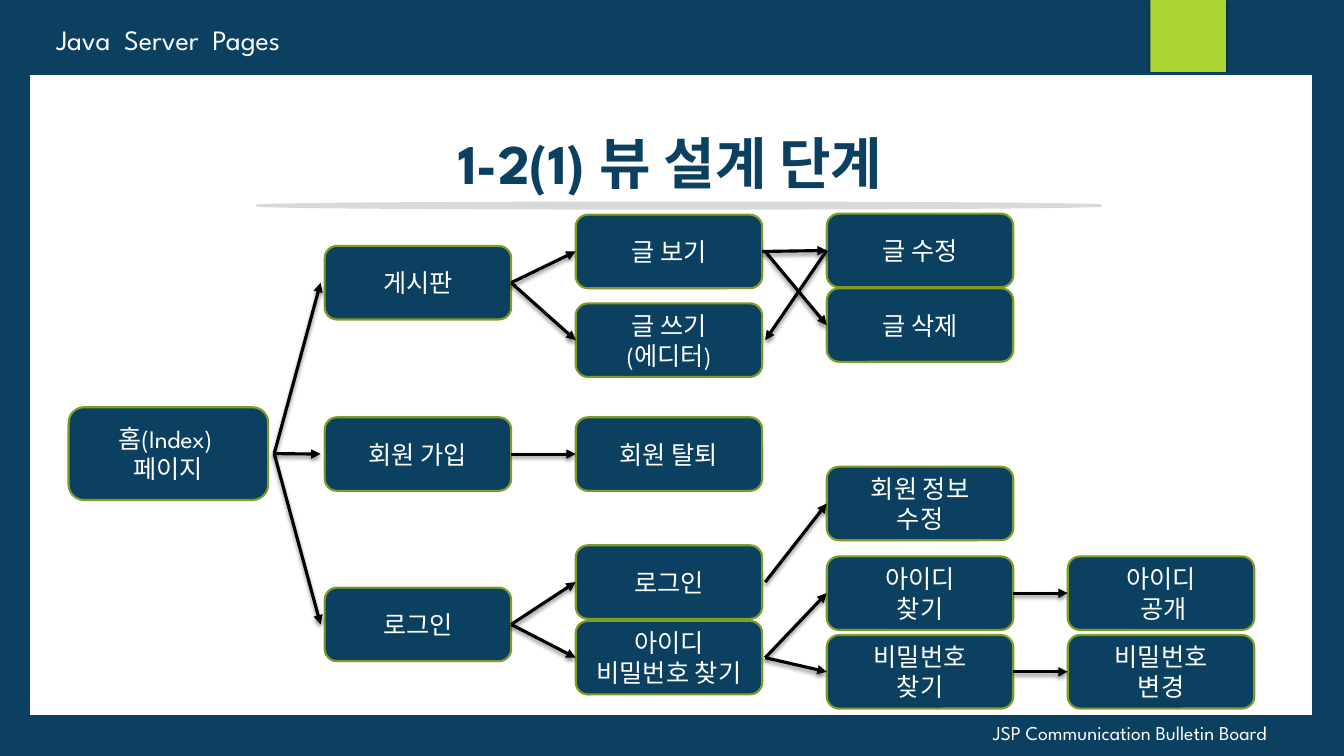
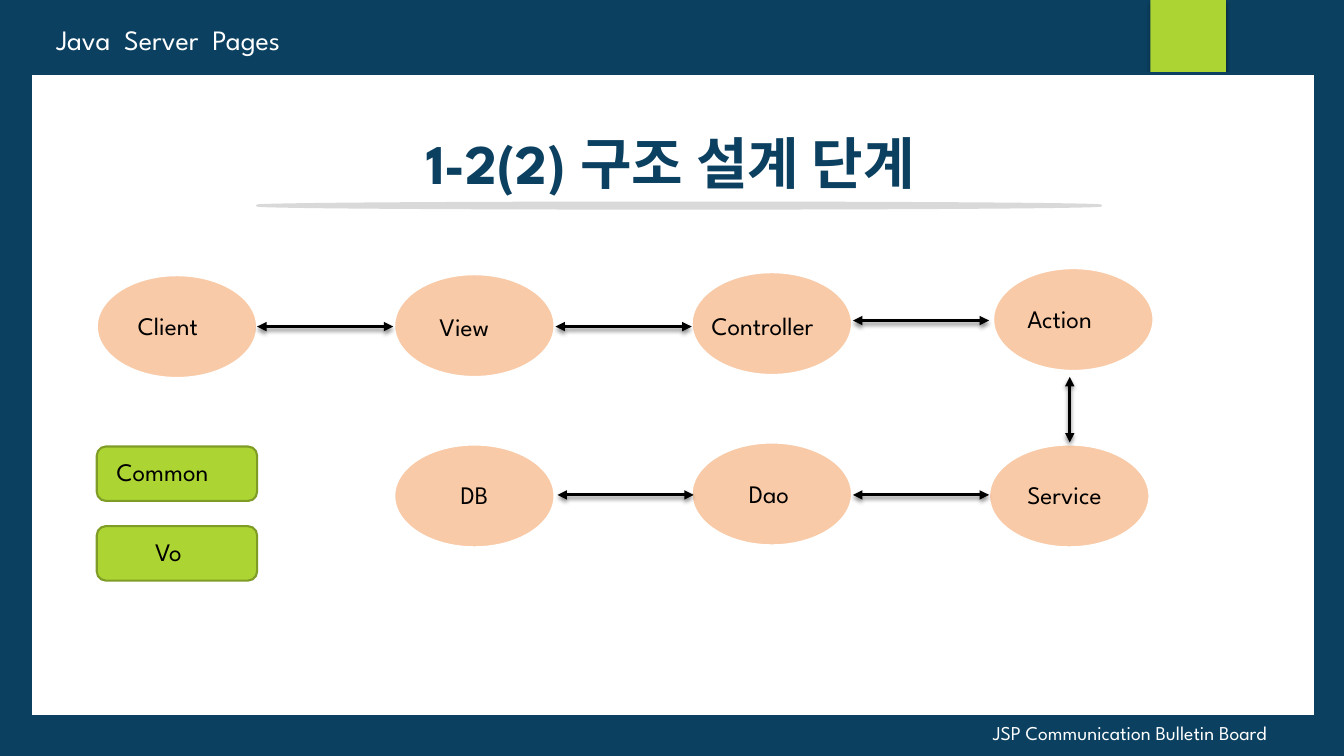
from lxml.etree import SubElement
from pptx import Presentation
from pptx.dml.color import RGBColor
from pptx.enum.shapes import MSO_CONNECTOR, MSO_SHAPE
from pptx.enum.text import MSO_ANCHOR, MSO_AUTO_SIZE, PP_ALIGN
from pptx.oxml.ns import qn
from pptx.util import Inches, Pt

NAVY = RGBColor(0x0B, 0x40, 0x60)
LIME = RGBColor(0xAC, 0xD4, 0x33)
OLIVE = RGBColor(0x7F, 0x9D, 0x26)
PEACH = RGBColor(0xF9, 0xCA, 0xA7)
SILVER = RGBColor(0xD9, 0xD9, 0xD9)
WHITE = RGBColor(0xFF, 0xFF, 0xFF)
BLACK = RGBColor(0x00, 0x00, 0x00)

BODY = {"name": "League Spartan", "size": Pt(18), "bold": False}
HEADER = {**BODY, "size": Pt(20)}
FOOTER = {**BODY, "size": Pt(14)}
TITLE = {**BODY, "size": Pt(40), "bold": True}

CENTERED = {"word_wrap": True, "vertical_anchor": MSO_ANCHOR.MIDDLE}
GROWING = {"word_wrap": True, "vertical_anchor": MSO_ANCHOR.TOP,
           "auto_size": MSO_AUTO_SIZE.SHAPE_TO_FIT_TEXT}

STEP_SIZE = (1.85, 0.73)
HOME_SIZE = (1.98, 0.92)
STEP_COLUMNS = [0, 2.54, 5.03, 7.52, 9.91]
STEPS = {
    "home": (0, 1.92, "홈(Index) \n페이지"),
    "board": (1, 0.32, "게시판"),
    "join": (1, 2.02, "회원 가입"),
    "member": (1, 3.71, "로그인"),
    "read": (2, 0.01, "글 보기"),
    "write": (2, 0.89, "글 쓰기\n(에디터)"),
    "leave": (2, 2.02, "회원 탈퇴"),
    "login": (2, 3.29, "로그인"),
    "find": (2, 4.04, "아이디\n비밀번호 찾기"),
    "edit": (3, 0, "글 수정"),
    "delete": (3, 0.74, "글 삭제"),
    "profile": (3, 2.51, "회원 정보\n수정"),
    "find_id": (3, 3.4, "아이디\n찾기"),
    "find_password": (3, 4.18, "비밀번호\n찾기"),
    "show_id": (4, 3.4, "아이디\n 공개"),
    "new_password": (4, 4.18, "비밀번호\n변경"),
}
STEP_LINKS = [
    ("home", "join", 0.06, 0.04),
    ("home", "board", 0.06, 0.04),
    ("home", "member", 0.06, 0.04),
    ("board", "read", 0, 0),
    ("board", "write", 0, 0),
    ("read", "edit", 0, 0),
    ("read", "delete", 0.03, 0),
    ("edit", "write", 0, 0.03),
    ("join", "leave", 0, 0),
    ("member", "login", 0, 0),
    ("member", "find", 0, 0),
    ("login", "profile", 0.03, 0),
    ("find", "find_id", 0.03, 0),
    ("find", "find_password", 0.03, 0),
    ("find_id", "show_id", 0, 0),
    ("find_password", "new_password", 0, 0),
]

LAYER_SIZE = (1.59, 1.02)
LAYERS = [
    ("Client", 0, 0.07, 0.31, 0.3, 0.96),
    ("View", 2.95, 0.06, 0.35, 0.32, 0.88),
    ("Controller", 5.9, 0.04, 0.1, 0.33, 1.38),
    ("Action", 8.89, 0, 0.24, 0.3, 1.11),
    ("Service", 8.85, 1.75, 0.28, 0.3, 1.11),
    ("Dao", 5.9, 1.73, 0.47, 0.31, 1.11),
    ("DB", 2.95, 1.75, 0.56, 0.3, 0.65),
]
SHARED_SIZE = (1.59, 0.54)
SHARED_PARTS = [("Common", 1.77, 0.1), ("Vo", 2.56, 0.48)]
LAYER_GAP = 1.35
LAYER_LINKS = [(1.59, 0.58), (4.55, 0.58), (7.5, 0.52), (4.57, 2.25), (7.5, 2.25)]


def apply(target, formats):
    """Set every format value on the target."""
    for attribute, value in formats.items():
        setattr(target, attribute, value)


def write(frame, text, font, color, align, layout):
    """Fill a text frame with one paragraph per line."""
    apply(frame, layout)
    frame.text = text
    for paragraph in frame.paragraphs:
        paragraph.alignment = align
        for run in paragraph.runs:
            apply(run.font, font)
            run.font.color.rgb = color


def add_label(slide, box, text, font, color, align=PP_ALIGN.LEFT):
    """Add a text box that grows with its text."""
    label = slide.shapes.add_textbox(*map(Inches, box))
    write(label.text_frame, text, font, color, align, GROWING)


def add_block(slide, preset, box, fill, line=None):
    """Add a filled preset shape with an optional outline."""
    block = slide.shapes.add_shape(preset, *map(Inches, box))
    block.shadow.inherit = False
    block.fill.solid()
    block.fill.fore_color.rgb = fill
    if line is None:
        block.line.fill.background()
    else:
        block.line.color.rgb = line
        block.line.width = Pt(1.5)
    return block


def add_shadow(properties):
    """Give shape properties a soft shadow that falls downward."""
    effects = properties.find(qn("a:effectLst"))
    if effects is None:
        effects = SubElement(properties, qn("a:effectLst"))
    shadow = SubElement(effects, qn("a:outerShdw"), blurRad=str(Pt(3)),
                        dist=str(Pt(2)), dir="5400000", algn="ctr", rotWithShape="0")
    color = SubElement(shadow, qn("a:srgbClr"), val=str(BLACK))
    SubElement(color, qn("a:alpha"), val="45000")


def add_arrow(slide, start, end, both_ways=False):
    """Draw a straight arrow between two points."""
    arrow = slide.shapes.add_connector(MSO_CONNECTOR.STRAIGHT, *map(Inches, start + end))
    arrow.line.color.rgb = BLACK
    arrow.line.width = Pt(2.25)
    properties = arrow.element.spPr
    outline = properties.find(qn("a:ln"))
    for tip in ("a:headEnd", "a:tailEnd") if both_ways else ("a:tailEnd",):
        SubElement(outline, qn(tip), type="triangle")
    add_shadow(properties)


def add_frame(prs, title, panel_left):
    """Add a slide with the shared band, panel, footer and title."""
    slide = prs.slides.add_slide(prs.slide_layouts[6])
    tab = add_block(slide, MSO_SHAPE.RECTANGLE, (11.41, 0, 0.75, 1.25), LIME)
    add_shadow(tab.element.spPr)
    add_block(slide, MSO_SHAPE.RECTANGLE, (panel_left, 0.73, 12.73, 6.37), WHITE, NAVY)
    add_label(slide, (9.75, 7.1, 3.43, 0.34), "JSP Communication Bulletin Board", FOOTER, WHITE)
    header = add_block(slide, MSO_SHAPE.RECTANGLE, (0.16, 0.17, 3.02, 0.44), NAVY)
    write(header.text_frame, "Java  Server  Pages", HEADER, WHITE, PP_ALIGN.CENTER, GROWING)
    add_block(slide, MSO_SHAPE.OVAL, (2.55, 2.01, 8.37, 0.06), SILVER, SILVER)
    add_label(slide, (3.1, 1.23, 7.1, 0.77), title, TITLE, NAVY, PP_ALIGN.CENTER)
    return slide


def add_view_flow(slide, left, top):
    """Draw the page flow from the home page, with its corner at left, top."""
    boxes = {}
    for step, (column, offset, text) in STEPS.items():
        size = HOME_SIZE if step == "home" else STEP_SIZE
        boxes[step] = (left + STEP_COLUMNS[column], top + offset, *size)
        block = add_block(slide, MSO_SHAPE.ROUNDED_RECTANGLE, boxes[step], NAVY, OLIVE)
        write(block.text_frame, text, BODY, WHITE, PP_ALIGN.CENTER, CENTERED)
    for source, target, start_gap, end_gap in STEP_LINKS:
        forward = boxes[source][0] < boxes[target][0]
        add_arrow(slide, side_point(boxes[source], forward, start_gap),
                  side_point(boxes[target], not forward, end_gap))


def side_point(box, on_right, gap):
    """Return the point a gap away from the middle of a box side."""
    left, top, width, height = box
    return (left + width + gap if on_right else left - gap, top + height / 2)


def add_architecture(slide, left, top):
    """Draw the layers and shared parts, with their corner at left, top."""
    for name, x, y, inset, drop, width in LAYERS:
        add_block(slide, MSO_SHAPE.OVAL, (left + x, top + y, *LAYER_SIZE), PEACH, WHITE)
        add_label(slide, (left + x + inset, top + y + drop, width, 0.4), name, BODY, BLACK)
    for name, y, inset in SHARED_PARTS:
        add_block(slide, MSO_SHAPE.ROUNDED_RECTANGLE, (left, top + y, *SHARED_SIZE), LIME, OLIVE)
        add_label(slide, (left + inset, top + y + 0.05, 1.43, 0.4), name, BODY, BLACK)
    for x, y in LAYER_LINKS:
        start = (left + x, top + y)
        add_arrow(slide, start, (start[0] + LAYER_GAP, start[1]), True)
    add_arrow(slide, (left + 9.65, top + 1.08), (left + 9.65, top + 1.73), True)


def main():
    """Build both design slides and save them."""
    prs = Presentation()
    apply(prs, {"slide_width": Inches(13.33), "slide_height": Inches(7.5)})
    backdrop = prs.slide_master.background.fill
    backdrop.solid()
    backdrop.fore_color.rgb = NAVY
    add_view_flow(add_frame(prs, "1-2(1) 뷰 설계 단계", 0.29), 0.68, 2.12)
    add_architecture(add_frame(prs, "1-2(2) 구조 설계 단계", 0.31), 0.96, 2.66)
    prs.save("out.pptx")


if __name__ == "__main__":
    main()
